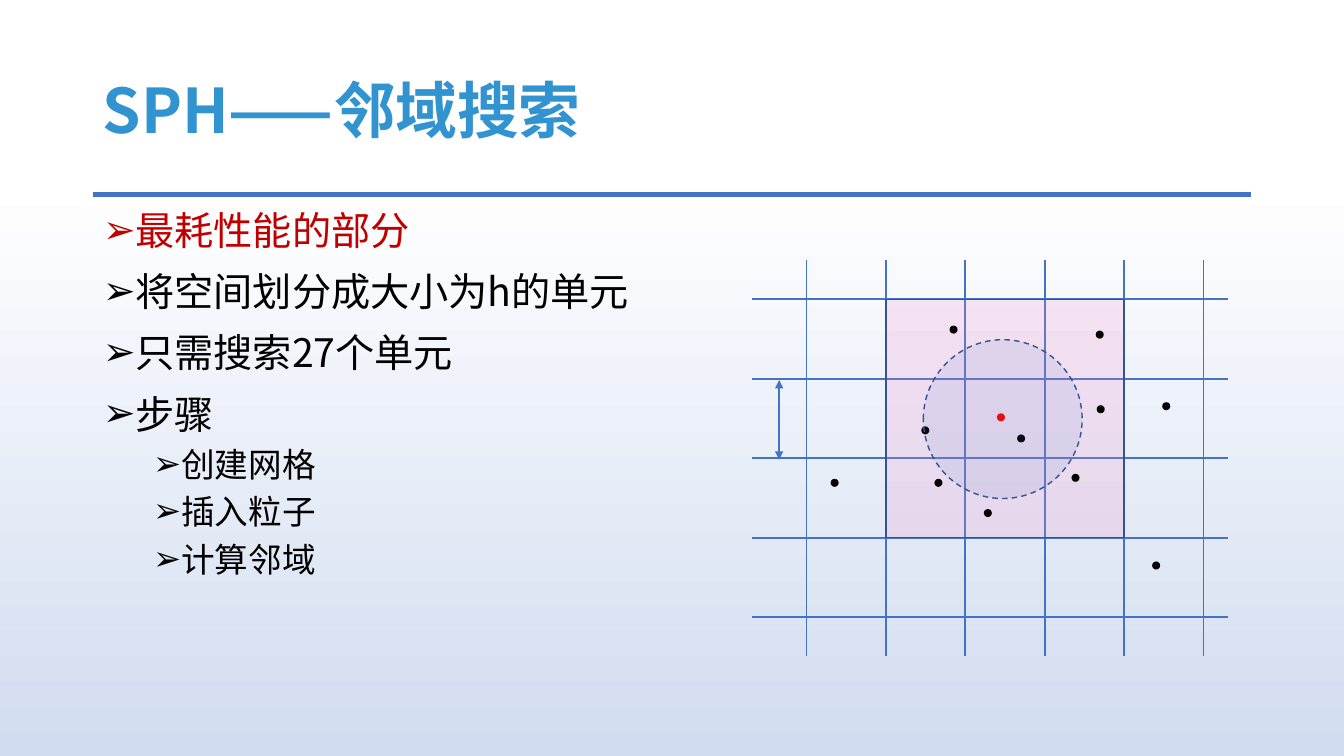
from lxml import etree
from pptx import Presentation
from pptx import util as u
from pptx.dml.color import RGBColor
from pptx.enum import dml, shapes, text
from pptx.oxml import ns

COLORS = {
    "sky": "3193CF", "blue": "4472C4", "navy": "325491", "pink": "F18BC8",
    "dark_red": "C00000", "red": "FF0000", "black": "000000",
    "white": "FFFFFF", "pale_blue": "D1DCF0",
}
FONT = "Noto Sans CJK SC"

BULLETS = [  # text, level, colour
    ("最耗性能的部分", 0, "dark_red"),
    ("将空间划分成大小为h的单元", 0, "black"),
    ("只需搜索27个单元", 0, "black"),
    ("步骤", 0, "black"),
    ("创建网格", 1, "black"),
    ("插入粒子", 1, "black"),
    ("计算邻域", 1, "black"),
]

# Grid geometry, in inches
ROWS, COLUMNS = 5, 6
GRID_X, GRID_RIGHT, GRID_Y = 8, 11.94, 2.97
CELL = (GRID_RIGHT - GRID_X) / (COLUMNS - 1)
ROW_SPAN = (7.46, 12.18)
COLUMN_SPAN = (2.58, 6.51)
DOT = 0.08
PARTICLES = [
    (9.76, 5.05), (10.63, 4.7), (9.42, 3.23), (10.87, 3.28), (8.24, 4.75),
    (9.14, 4.23), (10.88, 4.02), (11.53, 3.99), (11.43, 5.57),
    (10.09, 4.31), (9.27, 4.75),
]


def rgb(name):
    return RGBColor.from_string(COLORS[name])


def add_child(parent, tag, **attributes):
    return etree.SubElement(parent, ns.qn(tag), attributes)


def set_background(page):
    fill = page.background.fill
    fill.gradient()
    fill.gradient_angle = 270
    stops = zip(fill.gradient_stops, (0.24, 1), ("white", "pale_blue"))
    for stop, position, color in stops:
        stop.position = position
        stop.color.rgb = rgb(color)


def place(box, left, top, width, height):
    box.left, box.top = u.Inches(left), u.Inches(top)
    box.width, box.height = u.Inches(width), u.Inches(height)
    box.text_frame.word_wrap = True
    box.text_frame.auto_size = text.MSO_AUTO_SIZE.NONE


def write(para, content, size, color, bold=False, spacing=1.0, before=0):
    para.alignment = text.PP_ALIGN.LEFT
    para.line_spacing = spacing
    para.space_before = u.Pt(before)
    span = para.add_run()
    span.text = content
    span.font.size = u.Pt(size)
    span.font.bold = bold
    span.font.color.rgb = rgb(color)
    span.font.name = FONT
    add_child(span.font._element, "a:ea", typeface=FONT)


def add_bullet(para, level):
    para.level = level
    properties = para._p.get_or_add_pPr()
    properties.set("marL", str(u.Inches(0.25 + 0.5 * level)))
    properties.set("indent", str(u.Inches(-0.25)))
    add_child(properties, "a:buChar", char="➢")


def add_line(page, x1, y1, x2, y2, width=1.25, arrows=False):
    line = page.shapes.add_connector(
        shapes.MSO_CONNECTOR.STRAIGHT,
        u.Inches(x1), u.Inches(y1), u.Inches(x2), u.Inches(y2))
    line.line.color.rgb = rgb("blue")
    line.line.width = u.Pt(width)
    if arrows:
        for end in ("a:headEnd", "a:tailEnd"):
            add_child(line.line._get_or_add_ln(), end, type="triangle")
    add_child(line._element.spPr, "a:effectLst")


def add_area(page, kind, left, top, size, color, opacity=100, outline=None,
             dash=None):
    area = page.shapes.add_shape(
        kind, u.Inches(left), u.Inches(top), u.Inches(size), u.Inches(size))
    area.shadow.inherit = False
    area.fill.solid()
    area.fill.fore_color.rgb = rgb(color)
    if opacity < 100:
        tone = area._element.spPr.find(".//" + ns.qn("a:srgbClr"))
        add_child(tone, "a:alpha", val=str(opacity * 1000))
    if outline:
        area.line.color.rgb = rgb(outline)
        area.line.width = u.Pt(1)
        if dash:
            area.line.dash_style = dash
    else:
        area.line.fill.background()


def add_title(page):
    title = page.shapes.title
    place(title, 0.92, 0.4, 11.5, 1.45)
    title.text_frame.vertical_anchor = text.MSO_ANCHOR.MIDDLE
    write(title.text_frame.paragraphs[0], "SPH——邻域搜索", 44, "sky",
          bold=True, spacing=0.9)


def add_list(page):
    body = page.placeholders[1]
    place(body, 0.92, 2, 11.5, 4.76)
    frame = body.text_frame
    for index, (content, level, color) in enumerate(BULLETS):
        para = frame.add_paragraph() if index else frame.paragraphs[0]
        add_bullet(para, level)
        before = (5 if level else 10) if index else 0
        write(para, content, 24 if level else 28, color, before=before)


def add_diagram(page):
    oval = shapes.MSO_SHAPE.OVAL
    # Grid
    for row in range(ROWS):
        y = GRID_Y + row * CELL
        add_line(page, ROW_SPAN[0], y, ROW_SPAN[1], y)
    for column in range(COLUMNS):
        x = GRID_X + column * CELL
        add_line(page, x, COLUMN_SPAN[0], x, COLUMN_SPAN[1])
    # Searched cells and particles
    add_area(page, shapes.MSO_SHAPE.RECTANGLE, GRID_X + CELL, GRID_Y,
             3 * CELL, "pink", opacity=20, outline="navy")
    add_area(page, oval, 9.89, 4.1, DOT, "red")
    for left, top in PARTICLES:
        add_area(page, oval, left, top, DOT, "black")
    # Cell size and search radius
    add_line(page, 7.73, 3.77, 7.73, 4.56, arrows=True)
    add_area(page, oval, 9.16, 3.37, 2 * CELL, "blue", opacity=10,
             outline="navy", dash=dml.MSO_LINE.DASH)


def main():
    deck = Presentation()
    deck.slide_height = u.Inches(7.5)
    deck.slide_width = u.Inches(7.5 * 16 / 9)
    page = deck.slides.add_slide(deck.slide_layouts[1])
    set_background(page)
    add_line(page, 0.92, 1.93, 12.41, 1.93, width=3.5)
    add_title(page)
    add_list(page)
    add_diagram(page)
    deck.save("out.pptx")


if __name__ == "__main__":
    main()
